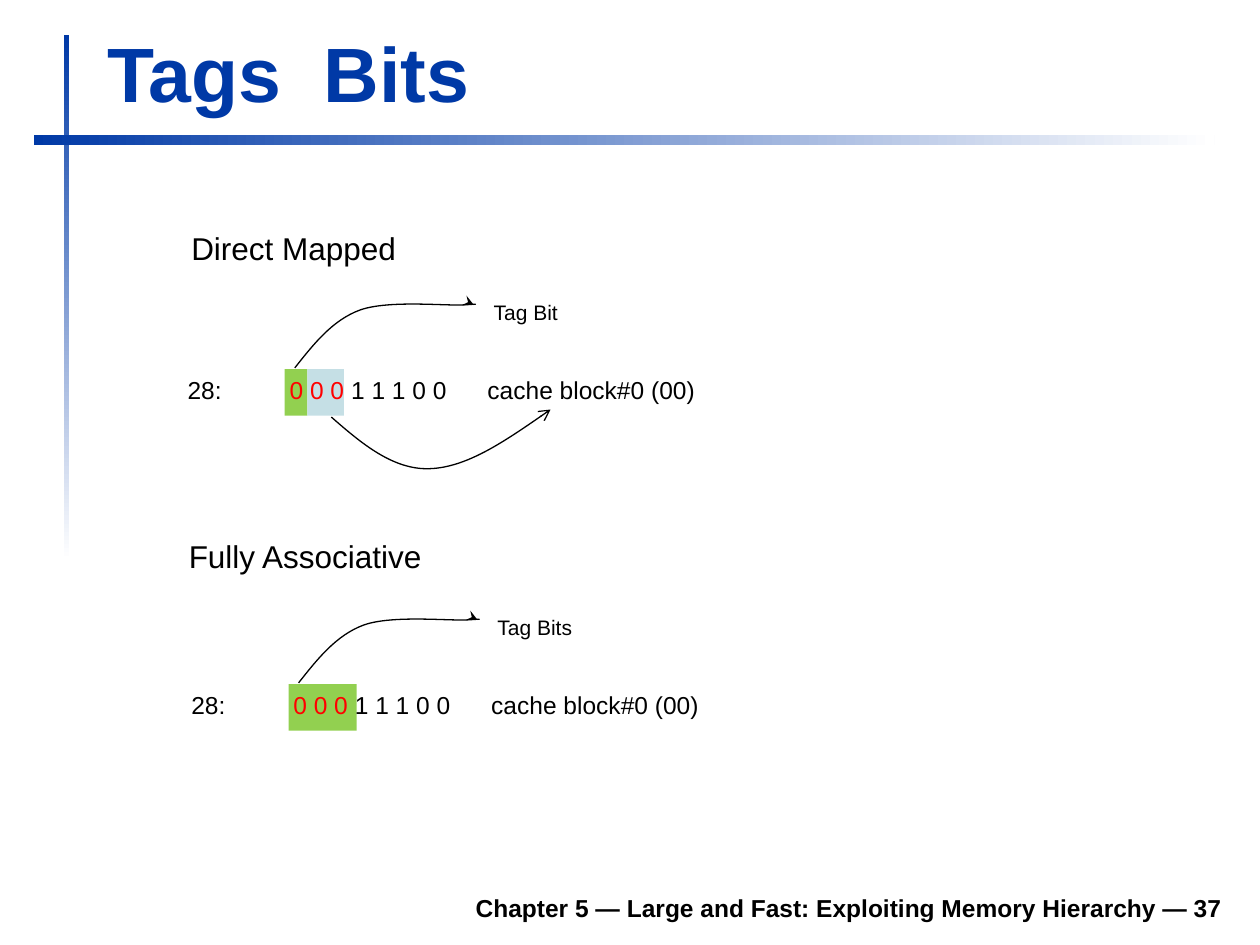
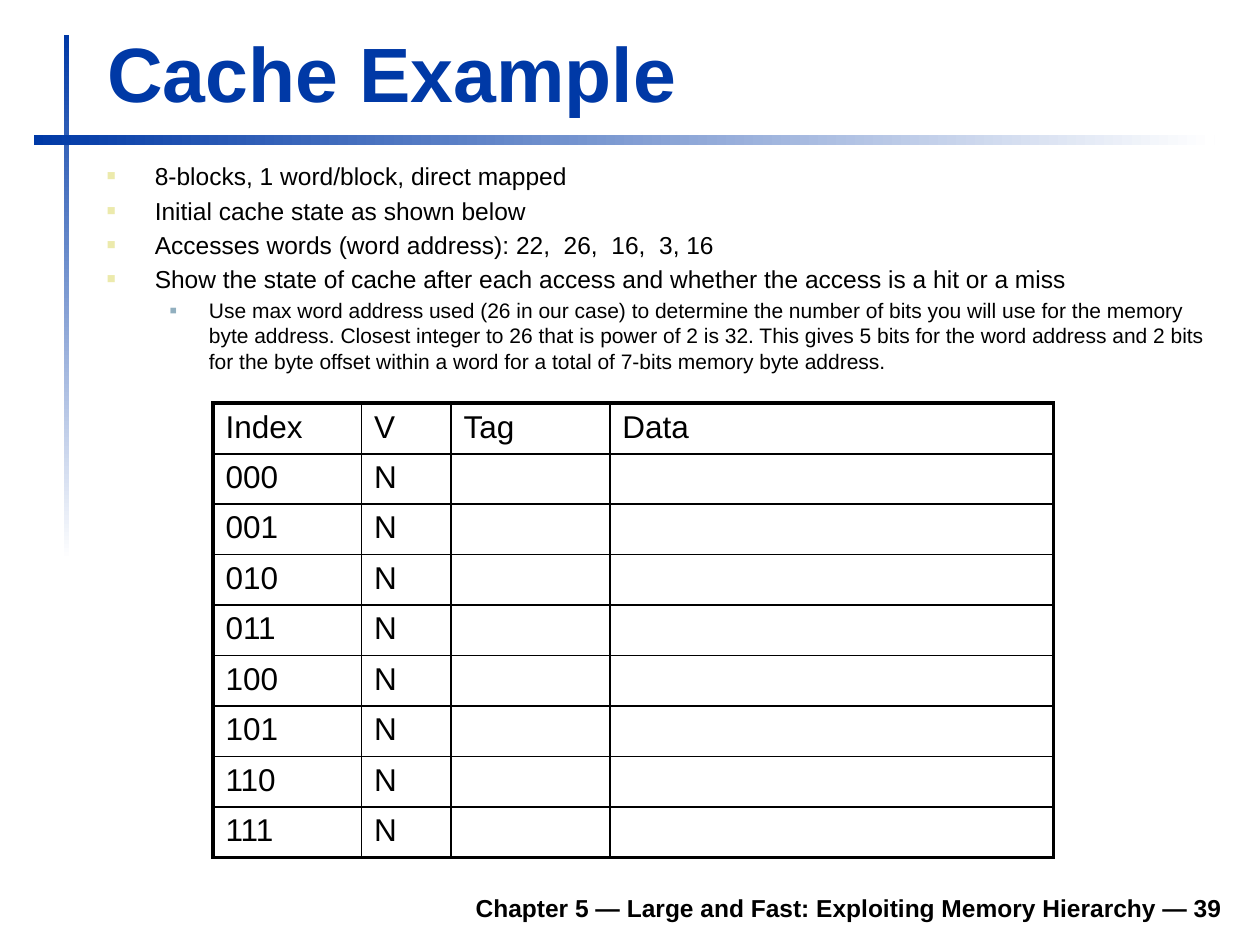
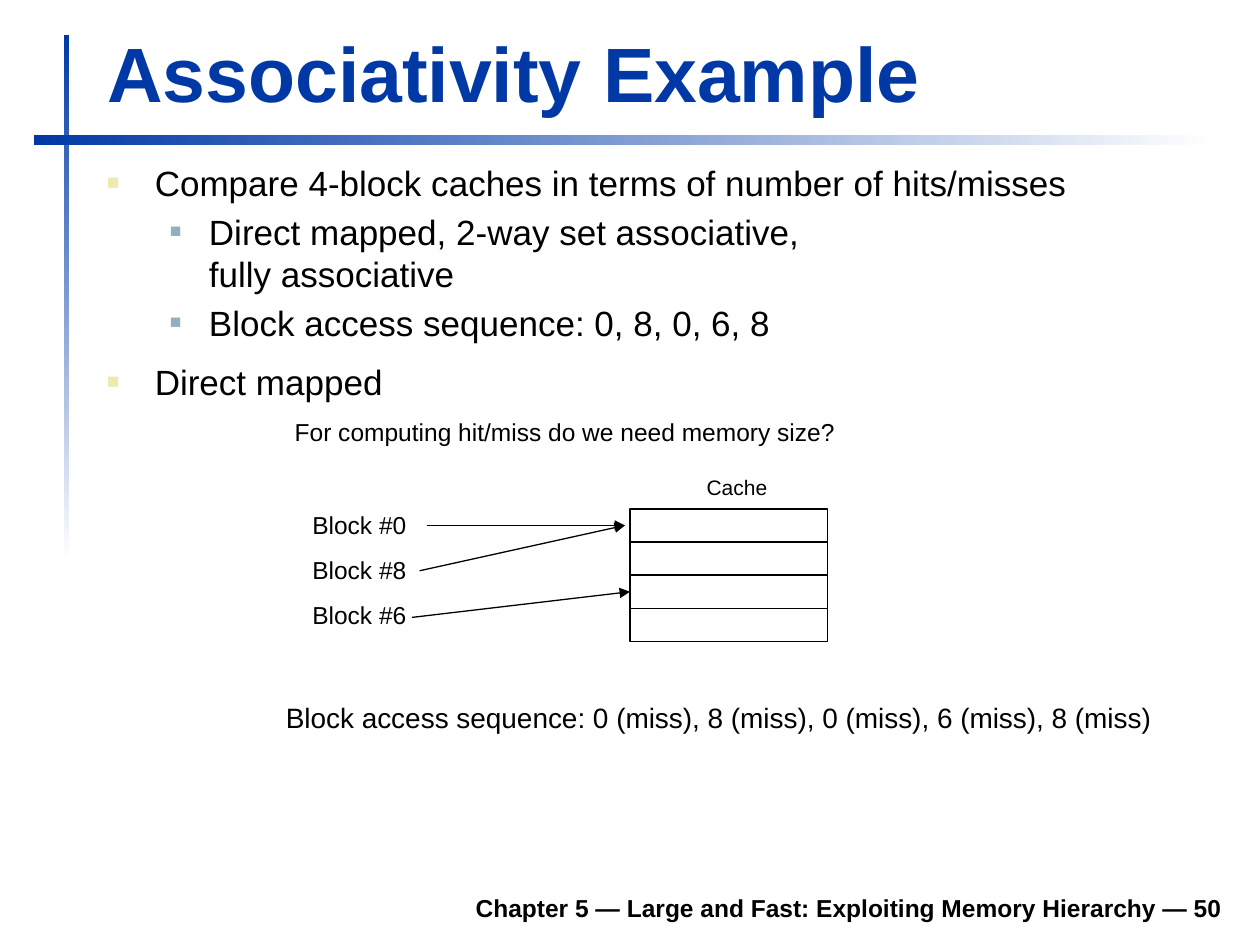
from lxml import etree
from pptx import Presentation
from pptx.dml.color import RGBColor
from pptx.enum.shapes import MSO_CONNECTOR, MSO_SHAPE
from pptx.enum.text import MSO_ANCHOR, MSO_AUTO_SIZE, PP_ALIGN
from pptx.oxml.ns import qn
from pptx.util import Inches, Pt

FONT = "Arial"
BLUE, BLACK, WHITE, RED = "0039A6", "000000", "FFFFFF", "FF0000"
GREEN, PALE_BLUE = "92D050", "C5DFE5"
FOOTER = "Chapter 5 — Large and Fast: Exploiting Memory Hierarchy — {}"
BULLETS = [("ECEAAC", 60, 0.38, -0.38), ("91AFBF", 55, 0.81, -0.31)]


def color(hex_code):
    """Turn a hex string into a colour."""
    return RGBColor.from_string(hex_code)


def box(left, top, width, height):
    """Return a box in inches as lengths."""
    return [Inches(value) for value in (left, top, width, height)]


def add_xml(parent, tag, **attributes):
    """Append an XML child with the given attributes."""
    values = {name: str(value) for name, value in attributes.items()}
    return etree.SubElement(parent, qn(tag), values)


def style(paragraph, size, hex_code=BLACK, bold=False):
    """Format every run of a paragraph."""
    for run in paragraph.runs:
        font = run.font
        font.name, font.size, font.bold = FONT, Pt(size), bold
        font.color.rgb = color(hex_code)


def indent(paragraph, left, first=0):
    """Set a paragraph's left and first-line indents."""
    properties = paragraph._p.get_or_add_pPr()
    properties.set("marL", str(Inches(left)))
    properties.set("indent", str(Inches(first)))
    return properties


def space_before(paragraph, percent):
    """Set the space above a paragraph as a share of its line."""
    spacing = add_xml(paragraph._p.get_or_add_pPr(), "a:spcBef")
    add_xml(spacing, "a:spcPct", val=percent * 1000)


def add_label(shapes, text, place, size, wrap=False, bold=False):
    """Add a one-paragraph text box."""
    label = shapes.add_textbox(*box(*place))
    frame = label.text_frame
    frame.text = text
    frame.word_wrap = wrap
    frame.auto_size = MSO_AUTO_SIZE.SHAPE_TO_FIT_TEXT
    style(frame.paragraphs[0], size, bold=bold)
    return label


def add_rectangle(shapes, place, fill=None, line=None):
    """Add a flat rectangle with an optional fill and outline."""
    shape = shapes.add_shape(MSO_SHAPE.RECTANGLE, *box(*place))
    shape.shadow.inherit = False
    if fill:
        shape.fill.solid()
        shape.fill.fore_color.rgb = color(fill)
    else:
        shape.fill.background()
    if line:
        shape.line.color.rgb = color(line)
        shape.line.width = Pt(0.75)
    else:
        shape.line.fill.background()
    return shape


def set_arrow(shape, head):
    """Draw a thin black line that ends in an arrowhead."""
    shape.line.color.rgb = color(BLACK)
    shape.line.width = Pt(0.75)
    add_xml(shape.line._get_or_add_ln(), "a:tailEnd", type=head)


def add_curve(shapes, left, top, points, head):
    """Add an arrow made of cubic curves through points relative to a corner."""
    places = [(Inches(left + x), Inches(top + y)) for x, y in points]
    builder = shapes.build_freeform(*places[0])
    builder.add_line_segments(places[1:], close=False)
    curve = builder.convert_to_shape()
    curve.shadow.inherit = False
    curve.fill.background()
    outline = next(curve.element.iter(qn("a:path")))
    segments = outline.findall(qn("a:lnTo"))
    for start in range(0, len(segments), 3):
        bezier = add_xml(outline, "a:cubicBezTo")
        for segment in segments[start:start + 3]:
            bezier.append(segment[0])
            outline.remove(segment)
    set_arrow(curve, head)


def add_bands(slide, layout):
    """Draw the two fading bands and keep them on the layout."""
    for place, angle in [((0.51, 0.28, 0.04, 4.17), 270), ((0.27, 1.07, 9.37, 0.08), 0)]:
        band = add_rectangle(slide.shapes, place)
        band.fill.gradient()
        band.fill.gradient_angle = angle
        for stop, hex_code, position in zip(band.fill.gradient_stops, (BLUE, WHITE), (0, 1)):
            stop.color.rgb = color(hex_code)
            stop.position = position
        layout.shapes.element.append(band.element)


def add_slide(presentation, title, number):
    """Add a slide with its title and footer."""
    slide = presentation.slides.add_slide(presentation.slide_layouts[5])
    heading = slide.shapes.title
    heading.left, heading.top, heading.width, heading.height = box(0.75, 0.16, 9.03, 0.83)
    frame = heading.text_frame
    frame.text = title
    frame.vertical_anchor = MSO_ANCHOR.BOTTOM
    frame.auto_size = MSO_AUTO_SIZE.NONE
    frame.paragraphs[0].alignment = PP_ALIGN.LEFT
    style(frame.paragraphs[0], 44, BLUE, bold=True)
    footer = add_label(slide.shapes, FOOTER.format(number), (1.85, 6.98, 7.95, 0.39), 14, True, True)
    footer.text_frame.auto_size = MSO_AUTO_SIZE.NONE
    footer.text_frame.vertical_anchor = MSO_ANCHOR.BOTTOM
    footer.text_frame.paragraphs[0].alignment = PP_ALIGN.RIGHT
    return slide


def add_bullets(slide, place, items):
    """Add a bulleted list of (level, text, size, space before) items."""
    frame = slide.shapes.add_textbox(*box(*place)).text_frame
    frame.word_wrap = True
    for position, (level, text, size, space) in enumerate(items):
        paragraph = frame.add_paragraph() if position else frame.paragraphs[0]
        paragraph.text = text
        paragraph.level = level
        style(paragraph, size)
        hex_code, percent, left, first = BULLETS[level]
        properties = indent(paragraph, left, first)
        space_before(paragraph, space)
        add_xml(add_xml(properties, "a:buClr"), "a:srgbClr", val=hex_code)
        add_xml(properties, "a:buSzPct", val=percent * 1000)
        add_xml(properties, "a:buFont", typeface=FONT)
        add_xml(properties, "a:buChar", char="■")


def add_address(slide, left, top, fields, tag_label, label_width):
    """Add an address whose bit fields are shaded and whose tag is pointed out."""
    shapes = slide.shapes.add_group_shape().shapes
    field_left = left + 0.87
    for width, fill in fields:
        add_rectangle(shapes, (field_left, top, width, 0.37), fill)
        field_left += width
    address = add_label(shapes, "28:\t", (left, top, 4.25, 0.34), 14, wrap=True)
    paragraph = address.text_frame.paragraphs[0]
    for text in ("0 0 0 ", "1 1 1 0 0\tcache block#0 (00)"):
        paragraph.add_run().text = text
    style(paragraph, 14)
    paragraph.runs[1].font.color.rgb = color(RED)
    stops = add_xml(paragraph._p.get_or_add_pPr(), "a:tabLst")
    for position in (0.81, 2.38):
        add_xml(stops, "a:tab", pos=Inches(position), algn="l")
    tag_curve = [(0.95, -0.01), (1.1, -0.2), (1.25, -0.39), (1.47, -0.47), (1.7, -0.55),
                 (2.15, -0.5), (2.3, -0.51), (2.45, -0.52), (2.41, -0.51), (2.37, -0.51)]
    add_curve(shapes, left, top, tag_curve, "stealth")
    if len(fields) > 1:
        index_curve = [(1.24, 0.38), (1.48, 0.59), (1.73, 0.8), (2.02, 0.79),
                       (2.31, 0.78), (2.65, 0.55), (2.98, 0.32)]
        add_curve(shapes, left, top, index_curve, "arrow")
    add_label(shapes, tag_label, (left + 2.43, top - 0.6, label_width, 0.3), 12)


def set_borders(cell, widths):
    """Set the left, right, top and bottom borders of a cell."""
    properties = cell._tc.get_or_add_tcPr()
    for position, (side, width) in enumerate(zip("LRTB", widths)):
        border = add_xml(properties, f"a:ln{side}", w=Pt(width))
        add_xml(add_xml(border, "a:solidFill"), "a:srgbClr", val=BLACK)
        properties.insert(position, border)


def add_cache_table(slide, left, top):
    """Add the table of the empty eight-block cache."""
    rows = [["Index", "V", "Tag", "Data"]]
    rows += [[f"{index:03b}", "N", "", ""] for index in range(8)]
    widths = [1.18, 0.71, 1.26, 3.52]
    place = box(left, top, sum(widths), 0.4 * len(rows))
    table = slide.shapes.add_table(len(rows), len(widths), *place).table
    table.first_row = table.horz_banding = False
    for column, width in zip(table.columns, widths):
        column.width = Inches(width)
    across = [2.25, 1, 1, 1, 2.25]
    down = [2.25, 1.5] + [1] * 7 + [2.25]
    for row, texts in enumerate(rows):
        for column, text in enumerate(texts):
            cell = table.cell(row, column)
            cell.fill.background()
            set_borders(cell, across[column:column + 2] + down[row:row + 2])
            if text:
                cell.text = text
                paragraph = cell.text_frame.paragraphs[0]
                style(paragraph, 18)
                space_before(paragraph, 20)


def add_cache_mapping(slide, left, top):
    """Add the four cache slots and the blocks that map to them."""
    height = 1.05 / 4
    slots = [add_rectangle(slide.shapes, (left + 2.62, top + 0.04 + row * height, 1.57, height),
                           line=BLACK) for row in range(4)]
    add_label(slide.shapes, "Cache", (left + 3.13, top - 0.28, 0.69, 0.3), 12)
    arrows = [(0, 1.01, 0.17, 2.58, 0.17, None), (8, 0.95, 0.53, 2.58, 0.17, None),
              (6, 0.89, 0.9, 2.62, 0.69, slots[2])]
    for row, (block, x1, y1, x2, y2, slot) in enumerate(arrows):
        add_label(slide.shapes, f"Block #{block}", (left, top + row * 0.355, 0.95, 0.34), 14)
        arrow = slide.shapes.add_connector(
            MSO_CONNECTOR.STRAIGHT, *box(left + x1, top + y1, left + x2, top + y2))
        if slot:
            arrow.end_connect(slot, 1)
        set_arrow(arrow, "triangle")
        add_xml(arrow.element.spPr, "a:effectLst")


def build_tags(presentation):
    """Build the slide on tag bits."""
    slide = add_slide(presentation, "Tags  Bits", 37)
    add_bands(slide, slide.slide_layout)
    add_address(slide, 1.39, 2.93, [(0.18, GREEN), (0.29, PALE_BLUE)], "Tag Bit", 0.72)
    add_address(slide, 1.42, 5.43, [(0.54, GREEN)], "Tag Bits", 0.8)
    add_label(slide.shapes, "Direct Mapped", (1.42, 1.77, 1.84, 0.4), 18)
    add_label(slide.shapes, "Fully Associative", (1.4, 4.21, 2.07, 0.4), 18)


def build_cache(presentation):
    """Build the slide with the cache exercise."""
    slide = add_slide(presentation, "Cache Example", 39)
    add_bullets(slide, (0.75, 1.23, 9.05, 1.79), [
        (0, "8-blocks, 1 word/block, direct mapped", 14, 20),
        (0, "Initial cache state as shown below", 14, 20),
        (0, "Accesses words (word address): 22,  26,  16,  3, 16", 14, 20),
        (0, "Show the state of cache after each access and whether the access is a hit or a miss", 14, 20),
        (1, "Use max word address used (26 in our case) to determine the number of bits you will "
            "use for the memory byte address. Closest integer to 26 that is power of 2 is 32. "
            "This gives 5 bits for the word address and 2 bits for the byte offset within a word "
            "for a total of 7-bits memory byte address.", 12, 20),
    ])
    add_cache_table(slide, 1.69, 3.2)


def build_associativity(presentation):
    """Build the slide that maps blocks to the cache."""
    slide = add_slide(presentation, "Associativity Example", 50)
    add_bullets(slide, (0.75, 1.23, 9.05, 2.05), [
        (0, "Compare 4-block caches in terms of number of hits/misses", 20, 20),
        (1, "Direct mapped, 2-way set associative,\vfully associative", 20, 20),
        (1, "Block access sequence: 0, 8, 0, 6, 8", 20, 20),
        (0, "Direct mapped", 20, 50),
    ])
    add_cache_mapping(slide, 2.38, 4)
    add_label(slide.shapes, "For computing hit/miss do we need memory size?", (2.24, 3.26, 4.51, 0.34), 14)
    sequence = add_label(
        slide.shapes, "Block access sequence: 0 (miss), 8 (miss), 0 (miss), 6 (miss), 8 (miss)",
        (1.67, 5.51, 8.05, 0.37), 16, wrap=True)
    indent(sequence.text_frame.paragraphs[0], 0.5)


def main():
    """Build the presentation and save it."""
    presentation = Presentation()
    presentation.slide_width, presentation.slide_height = Inches(10), Inches(7.5)
    build_tags(presentation)
    build_cache(presentation)
    build_associativity(presentation)
    presentation.save("out.pptx")


if __name__ == "__main__":
    main()
